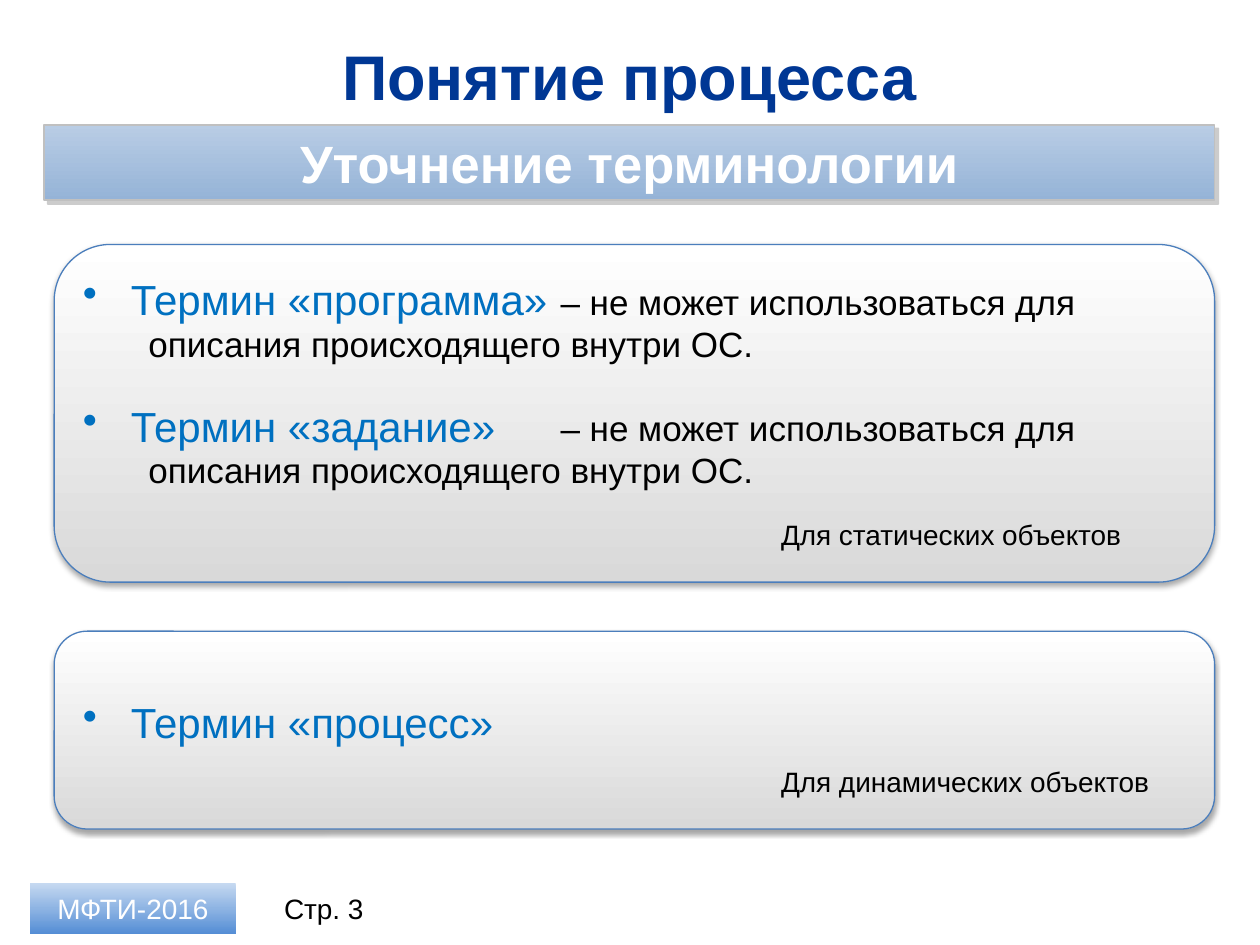
import copy
from dataclasses import dataclass
from typing import Optional

import pptx
import pptx.dml.color
import pptx.enum.shapes
import pptx.enum.text
import pptx.oxml
import pptx.oxml.ns
import pptx.util
from pptx.util import Inches

ALIGN = pptx.enum.text.PP_ALIGN
ANCHOR = pptx.enum.text.MSO_ANCHOR
SHAPE = pptx.enum.shapes.MSO_SHAPE


@dataclass(frozen=True)
class Theme:
    font: str = "Arial"
    title_color: str = "003794"
    term_color: str = "0070C0"
    text_color: str = "000000"
    light_text: str = "FFFFFF"
    card_line: str = "4B7EBC"
    banner_line: str = "C0C0C0"
    card_gradient: tuple = ("FFFFFF", "D9D9D9")
    banner_gradient: tuple = ("B9CDE5", "95B3D7")
    footer_gradient: tuple = ("C6D9F1", "8EB4E3", "558ED5")
    title_size: int = 36
    banner_size: int = 30
    term_size: int = 24
    body_size: int = 20
    note_size: int = 16


THEME = Theme()


@dataclass(frozen=True)
class Box:
    left: float
    top: float
    width: float
    height: float

    def lengths(self) -> tuple:
        return tuple(Inches(n) for n in (self.left, self.top, self.width, self.height))


@dataclass(frozen=True)
class Shadow:
    color: str
    opacity: int
    blur: float
    distance: float
    angle: int


@dataclass(frozen=True)
class Panel:
    box: Box
    kind: SHAPE
    gradient: tuple
    line: Optional[str] = None
    line_width: float = 0.75
    shadow: Optional[Shadow] = None


@dataclass(frozen=True)
class Line:
    text: str
    size: int
    color: str
    bold: bool = False
    align: ALIGN = ALIGN.LEFT
    space_before: float = 0
    margin: float = 0
    indent: float = 0
    bullet: Optional[str] = None
    line_height: Optional[float] = None


def rgb(color: str) -> pptx.dml.color.RGBColor:
    return pptx.dml.color.RGBColor.from_string(color)


def apply(target, values: dict) -> None:
    for name, value in values.items():
        setattr(target, name, value)


def write_lines(shape, lines: list, **frame_format) -> None:
    frame = shape.text_frame
    apply(frame, {"word_wrap": True, **frame_format})
    for number, line in enumerate(lines):
        paragraph = frame.add_paragraph() if number else frame.paragraphs[0]
        paragraph.text = line.text
        properties = paragraph._p.get_or_add_pPr()
        if line.margin:
            properties.set("marL", str(Inches(line.margin)))
            properties.set("indent", str(Inches(line.indent)))
        if line.bullet:
            bullet = pptx.oxml.parse_xml(
                f'<a:buChar {pptx.oxml.ns.nsdecls("a")} char="{line.bullet}"/>')
            properties.append(bullet)
        apply(paragraph, {"alignment": line.align,
                          "space_before": pptx.util.Pt(line.space_before)})
        if line.line_height:
            paragraph.line_spacing = pptx.util.Pt(line.line_height)
        for run in paragraph.runs:
            apply(run.font, {"name": THEME.font, "size": pptx.util.Pt(line.size),
                             "bold": line.bold})
            run.font.color.rgb = rgb(line.color)


def fill_gradient(shape, colors: tuple) -> None:
    """Spread the colours evenly from top to bottom."""
    shape.fill.gradient()
    shape.fill.gradient_angle = 270
    stop_list = shape._element.spPr.find(".//" + pptx.oxml.ns.qn("a:gsLst"))
    for _ in colors[2:]:
        stop_list.append(copy.deepcopy(stop_list[0]))
    for number, stop in enumerate(shape.fill.gradient_stops):
        stop.position = number / (len(colors) - 1)
        stop.color.rgb = rgb(colors[number])


def add_shadow(shape, shadow: Shadow) -> None:
    effects = shape._element.spPr.find(pptx.oxml.ns.qn("a:effectLst"))
    effects.append(pptx.oxml.parse_xml(
        f'<a:outerShdw {pptx.oxml.ns.nsdecls("a")} blurRad="{pptx.util.Pt(shadow.blur)}" '
        f'dist="{pptx.util.Pt(shadow.distance)}" dir="{shadow.angle * 60000}" '
        f'algn="tl" rotWithShape="0"><a:srgbClr val="{shadow.color}">'
        f'<a:alpha val="{shadow.opacity * 1000}"/></a:srgbClr></a:outerShdw>'))


def add_panel(slide, panel: Panel):
    shape = slide.shapes.add_shape(panel.kind, *panel.box.lengths())
    shape.shadow.inherit = False
    fill_gradient(shape, panel.gradient)
    if panel.line:
        shape.line.color.rgb = rgb(panel.line)
        shape.line.width = pptx.util.Pt(panel.line_width)
    else:
        shape.line.fill.background()
    if panel.shadow:
        add_shadow(shape, panel.shadow)
    return shape


def add_text(slide, box: Box, lines: list, **frame_format) -> None:
    write_lines(slide.shapes.add_textbox(*box.lengths()), lines, **frame_format)


def main() -> None:
    presentation = pptx.Presentation()
    apply(presentation, {"slide_width": Inches(10), "slide_height": Inches(7.5)})
    slide = presentation.slides.add_slide(presentation.slide_layouts[5])

    # Title
    title = slide.shapes.title
    apply(title, dict(zip(("left", "top", "width", "height"),
                          Box(0.35, 0.26, 9.29, 0.68).lengths())))
    write_lines(title, [Line("Понятие процесса", THEME.title_size, THEME.title_color,
                             bold=True, align=ALIGN.CENTER)], vertical_anchor=ANCHOR.MIDDLE)

    # Cards for static and dynamic objects, each with a note
    card_shadow = Shadow("000000", 35, 3.1, 1.8, 90)
    for top, height, note_top, note in (
            (1.94, 2.68, 4.06, "Для статических объектов"),
            (5.01, 1.57, 6.02, "Для динамических объектов")):
        add_panel(slide, Panel(Box(0.43, top, 9.21, height), SHAPE.ROUNDED_RECTANGLE,
                               THEME.card_gradient, THEME.card_line, shadow=card_shadow))
        add_text(slide, Box(6.1, note_top, 3.39, 0.37),
                 [Line(note, THEME.note_size, THEME.text_color)])

    # Banner
    banner = add_panel(slide, Panel(Box(0.35, 0.99, 9.29, 0.6), SHAPE.RECTANGLE,
                                    THEME.banner_gradient, THEME.banner_line, 1,
                                    Shadow("808080", 40, 0, 3, 45)))
    write_lines(banner, [Line("Уточнение терминологии", THEME.banner_size, THEME.light_text,
                              bold=True, align=ALIGN.CENTER)], vertical_anchor=ANCHOR.MIDDLE)

    # Explanations: the first line starts after the term
    explanation = "– не может использоваться для описания происходящего внутри ОС."
    add_text(slide, Box(0.58, 2.18, 8.58, 1.78),
             [Line(explanation, THEME.body_size, THEME.text_color, space_before=gap,
                   margin=0.5, indent=3.27, line_height=24) for gap in (0, 24)])

    # Terms
    add_text(slide, Box(0.56, 2.12, 3.92, 3.87),
             [Line(f"Термин «{term}»", THEME.term_size, THEME.term_color, space_before=gap,
                   margin=0.38, indent=-0.38, bullet="•")
              for term, gap in (("программа", 0), ("задание", 44), ("процесс", 140))],
             word_wrap=False)

    # Footer
    badge = add_panel(slide, Panel(Box(0.24, 7.01, 1.63, 0.4), SHAPE.RECTANGLE,
                                   THEME.footer_gradient))
    write_lines(badge, [Line("МФТИ-2016", THEME.note_size, THEME.light_text,
                             align=ALIGN.CENTER)], vertical_anchor=ANCHOR.MIDDLE)
    add_text(slide, Box(2.03, 7.01, 1.08, 0.4),
             [Line("Стр. 3", THEME.note_size, THEME.text_color, align=ALIGN.CENTER)],
             vertical_anchor=ANCHOR.MIDDLE)

    presentation.save("out.pptx")


if __name__ == "__main__":
    main()
